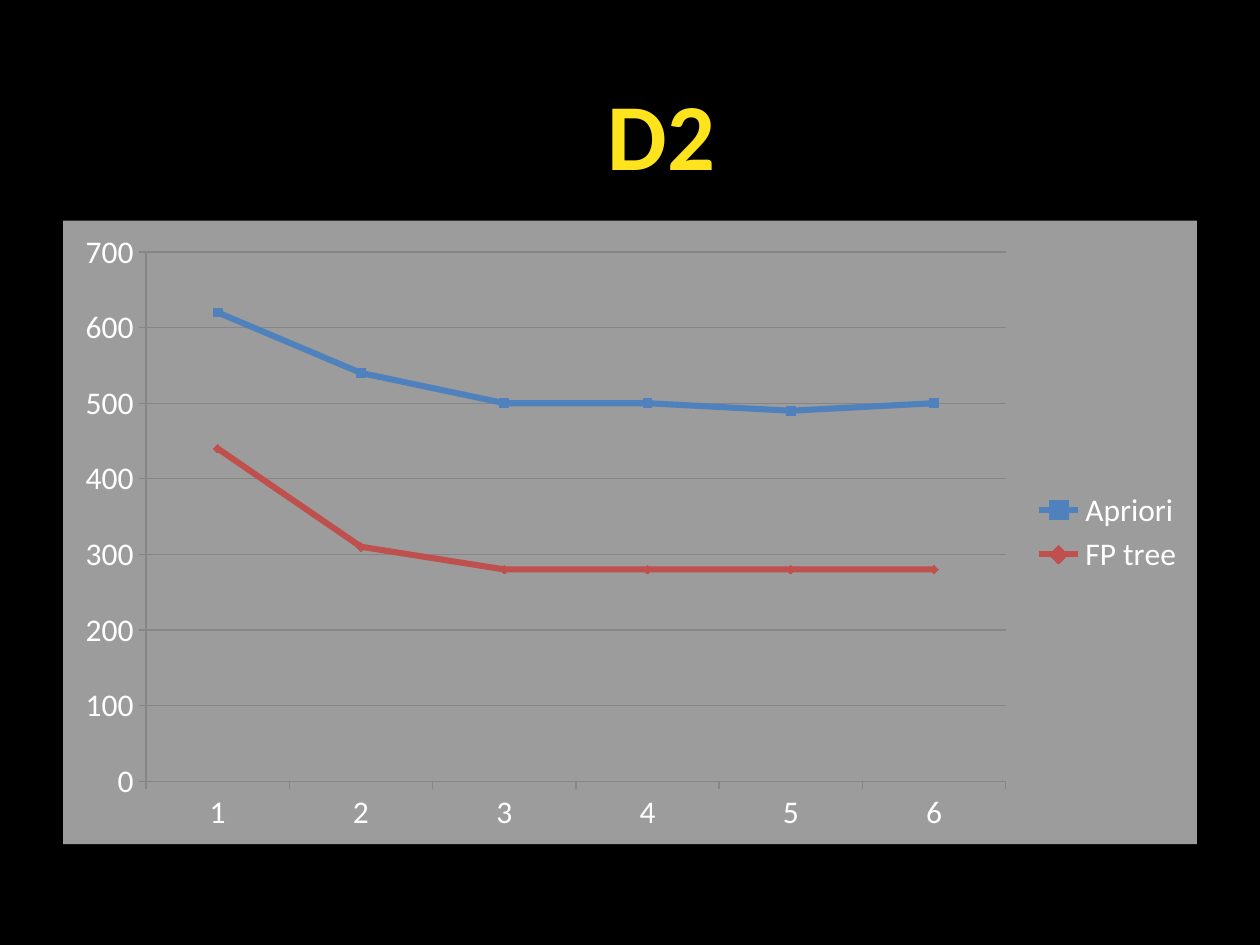
from dataclasses import dataclass

from lxml import etree
from pptx import Presentation
from pptx.chart.data import CategoryChartData
from pptx.dml.color import RGBColor
from pptx.enum.chart import XL_CHART_TYPE, XL_LEGEND_POSITION, XL_MARKER_STYLE, XL_TICK_MARK
from pptx.enum.text import MSO_ANCHOR, PP_ALIGN
from pptx.oxml import parse_xml
from pptx.util import Pt

LINE_MARKERS = XL_CHART_TYPE.LINE_MARKERS
LEGEND_RIGHT = XL_LEGEND_POSITION.RIGHT
TICK_OUTSIDE = XL_TICK_MARK.OUTSIDE
SQUARE, DIAMOND = XL_MARKER_STYLE.SQUARE, XL_MARKER_STYLE.DIAMOND
FONT = "Calibri"
AXIS_GRAY = "868686"
DRAWING_NS = "http://schemas.openxmlformats.org/drawingml/2006/main"
CHART_NS = "http://schemas.openxmlformats.org/drawingml/2006/chart"


@dataclass
class Algorithm:
    name: str
    times: tuple[int, ...]
    color: str
    marker: int


ALGORITHMS = (
    Algorithm("Apriori", (620, 540, 500, 500, 490, 500), "4F81BD", SQUARE),
    Algorithm("FP tree", (440, 310, 280, 280, 280, 280), "C0504D", DIAMOND),
)


def rgb(value: str) -> RGBColor:
    return RGBColor.from_string(value)


def paint(fill, color: str) -> None:
    fill.solid()
    fill.fore_color.rgb = rgb(color)


def style_line(line, color: str, width: float) -> None:
    line.color.rgb = rgb(color)
    line.width = Pt(width)


def style_font(font, size: float, color: str, bold: bool = False) -> None:
    font.name, font.size, font.bold = FONT, Pt(size), bold
    font.color.rgb = rgb(color)


def fill_chart_area(chart, color: str, opacity: int) -> None:
    """Give the chart area a translucent fill without an outline."""
    area = parse_xml(
        f'<c:spPr xmlns:c="{CHART_NS}" xmlns:a="{DRAWING_NS}">'
        f'<a:solidFill><a:srgbClr val="{color}"><a:alpha val="{opacity * 1000}"/>'
        "</a:srgbClr></a:solidFill><a:ln><a:noFill/></a:ln></c:spPr>"
    )
    plot_part = chart.element.find(etree.QName(CHART_NS, "chart").text)
    plot_part.addnext(area)


def add_title(page, text: str) -> None:
    title = page.shapes.title
    title.left, title.top, title.width, title.height = Pt(340), Pt(39.6), Pt(76), Pt(72.7)
    frame = title.text_frame
    frame.text = text
    frame.word_wrap = False
    frame.vertical_anchor = MSO_ANCHOR.MIDDLE
    para = frame.paragraphs[0]
    para.alignment = PP_ALIGN.CENTER
    style_font(para.font, 54, "FFE41D", bold=True)


def add_time_chart(page) -> None:
    data = CategoryChartData()
    data.categories = [str(number) for number in range(1, 7)]
    for algorithm in ALGORITHMS:
        data.add_series(algorithm.name, algorithm.times)
    chart = page.shapes.add_chart(
        LINE_MARKERS, Pt(36), Pt(126), Pt(648), Pt(356.4), data
    ).chart
    chart.has_title = False
    style_font(chart.font, 18, "FFFFFF")
    fill_chart_area(chart, "FFFFFF", 61)

    # Legend
    chart.has_legend = True
    chart.legend.position = LEGEND_RIGHT
    chart.legend.include_in_layout = False

    # Axes and gridlines
    for axis in (chart.category_axis, chart.value_axis):
        axis.major_tick_mark = TICK_OUTSIDE
        style_line(axis.format.line, AXIS_GRAY, 0.75)
    values = chart.value_axis
    values.minimum_scale, values.maximum_scale, values.major_unit = 0, 700, 100
    values.has_major_gridlines = True
    style_line(values.major_gridlines.format.line, AXIS_GRAY, 0.75)

    # Series lines and markers
    chart.plots[0].vary_by_categories = False
    for series, algorithm in zip(chart.plots[0].series, ALGORITHMS):
        series.smooth = False
        style_line(series.format.line, algorithm.color, 3.5)
        series.marker.style = algorithm.marker
        series.marker.size = 5
        paint(series.marker.format.fill, algorithm.color)
        series.marker.format.line.fill.background()


deck = Presentation()
deck.slide_width, deck.slide_height = Pt(720), Pt(540)
page = deck.slides.add_slide(deck.slide_layouts[5])
paint(page.background.fill, "000000")
add_title(page, "D2")
add_time_chart(page)
deck.save("out.pptx")
